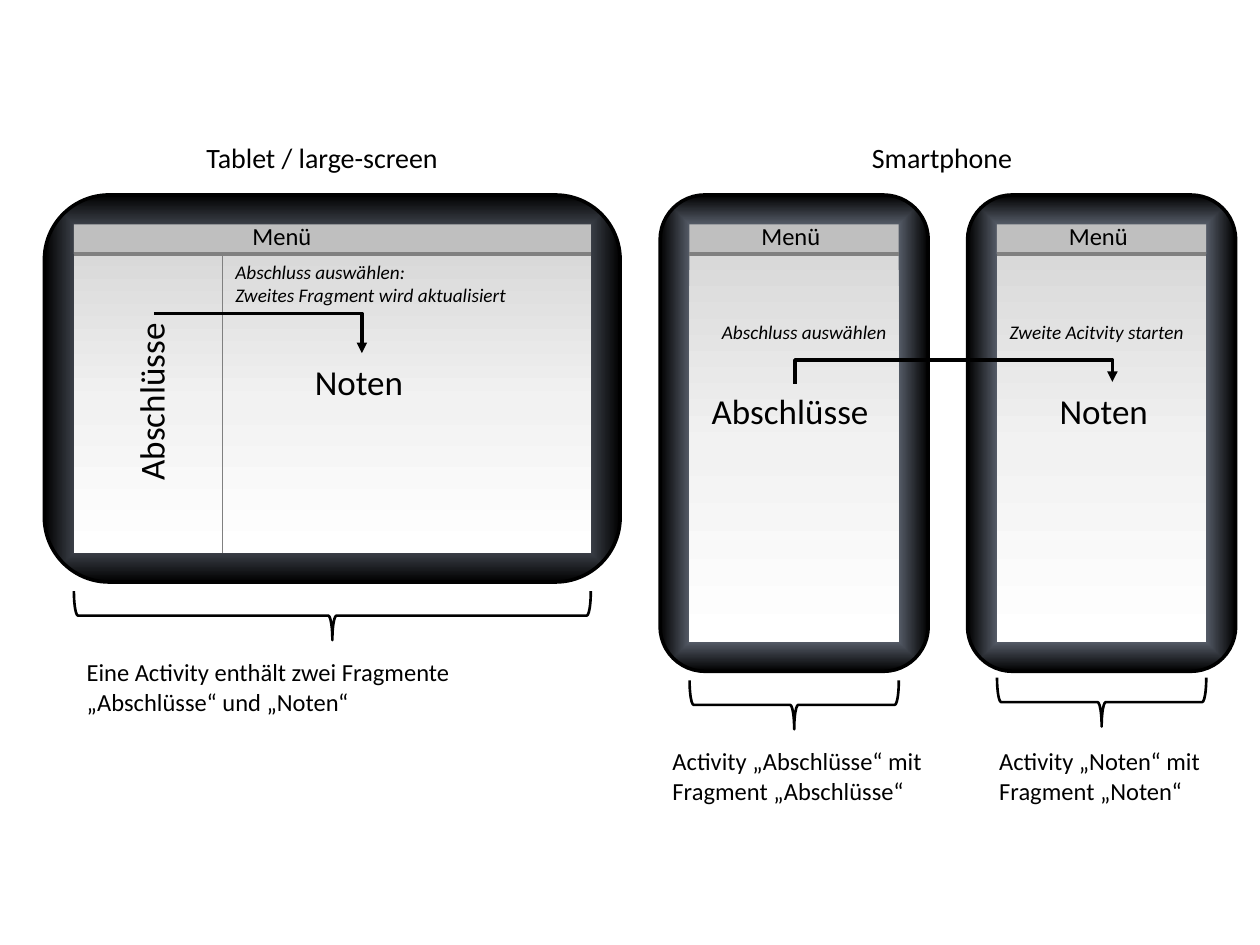
from lxml import etree
from pptx import Presentation
from pptx.dml.color import RGBColor
from pptx.enum.shapes import MSO_CONNECTOR, MSO_SHAPE
from pptx.oxml import parse_xml
from pptx.oxml.ns import nsdecls, qn
from pptx.util import Pt

RECT = MSO_SHAPE.RECTANGLE
ROUNDED = MSO_SHAPE.ROUNDED_RECTANGLE
BRACE = MSO_SHAPE.RIGHT_BRACE
STRAIGHT = MSO_CONNECTOR.STRAIGHT
ELBOW = MSO_CONNECTOR.ELBOW

FONT = "Calibri"
BLACK, GREY, MENU_GREY = "000000", "808080", "BFBFBF"
FRAME_STOPS = [(50, "C2D1ED"), (100, "000000")]
SCREEN_STOPS = [(0, "D9D9D9"), (50, "F2F2F2"), (100, "FFFFFF")]
FRAME_DIRECTION = ('<a:path path="shape"><a:fillToRect l="50000" t="50000" '
                   'r="50000" b="50000"/></a:path>')
SCREEN_DIRECTION = '<a:lin ang="5400000" scaled="0"/>'
BEZEL, MENU_HEIGHT, BRACE_DEPTH = 16.8, 17, 28


def color(hex_string):
    return RGBColor.from_string(hex_string)


def add_box(slide, kind, box, fill=None, line=None, line_width=1):
    shape = slide.shapes.add_shape(kind, *[Pt(v) for v in box])
    shape.shadow.inherit = False
    if fill:
        shape.fill.solid()
        shape.fill.fore_color.rgb = color(fill)
    else:
        shape.fill.background()
    if line:
        shape.line.color.rgb = color(line)
        shape.line.width = Pt(line_width)
    else:
        shape.line.fill.background()
    return shape


def set_gradient(shape, stops, direction):
    stop_xml = "".join(f'<a:gs pos="{pos * 1000}"><a:srgbClr val="{rgb}"/></a:gs>'
                       for pos, rgb in stops)
    gradient = parse_xml(f'<a:gradFill {nsdecls("a")} rotWithShape="1">'
                         f'<a:gsLst>{stop_xml}</a:gsLst>{direction}</a:gradFill>')
    properties = shape._element.spPr
    properties.replace(properties.find(qn("a:noFill")), gradient)


def add_text(slide, box, lines, size, italic=False, rotation=0):
    label = slide.shapes.add_textbox(*[Pt(v) for v in box])
    label.rotation = rotation
    frame = label.text_frame
    frame.word_wrap = True
    frame.text = "\n".join(lines)
    for paragraph in frame.paragraphs:
        font = paragraph.font
        font.name, font.size, font.italic = FONT, Pt(size), italic
        font.color.rgb = color(BLACK)


def add_line(slide, kind, ends, rgb, width, arrow=False):
    line = slide.shapes.add_connector(kind, *[Pt(v) for v in ends])
    line.line.color.rgb = color(rgb)
    line.line.width = Pt(width)
    properties = line._element.spPr
    if arrow:
        etree.SubElement(properties.find(qn("a:ln")), qn("a:tailEnd"), type="triangle")
    etree.SubElement(properties, qn("a:effectLst"))
    return line


def add_device(slide, box, menu_offset, brace_gap, divider=None):
    """Frame, screen with menu bar, and the brace below; divider splits the screen."""
    left, top, width, height = box
    x, y = left + BEZEL, top + BEZEL
    w, h = width - 2 * BEZEL, height - 2 * BEZEL
    body_y, body_h = y + MENU_HEIGHT, h - MENU_HEIGHT

    # Frame and screen
    frame = add_box(slide, ROUNDED, box, line=BLACK, line_width=2)
    set_gradient(frame, FRAME_STOPS, FRAME_DIRECTION)
    screen = add_box(slide, RECT, (x, body_y, w, body_h))
    set_gradient(screen, SCREEN_STOPS, SCREEN_DIRECTION)

    # Menu bar
    add_box(slide, RECT, (x, y, w, MENU_HEIGHT), MENU_GREY)
    add_text(slide, (x + menu_offset, y - 5.5, 52, 24.5), ["Menü"], 14)
    add_line(slide, STRAIGHT, (x, body_y, x + w, body_y), GREY, 2)
    if divider:
        add_line(slide, STRAIGHT, (x + divider, body_y, x + divider, y + h), GREY, 1)

    # Brace, turned to open upwards
    brace_top = top + height + brace_gap
    brace = add_box(slide, BRACE,
                    (x + (w - BRACE_DEPTH) / 2, brace_top + (BRACE_DEPTH - w) / 2,
                     BRACE_DEPTH, w), line=BLACK, line_width=1.5)
    brace.rotation = 90


def add_tablet(slide, box):
    left, top, width, height = box
    add_text(slide, (left + 85.5, top - 34.4, 156, 26.6), ["Tablet / large-screen"], 16)
    add_device(slide, box, 95, 5.2, divider=85)

    # Both fragments
    add_text(slide, (left + 7, top + 100.3, 108, 31.7), ["Abschlüsse"], 20, rotation=270)
    add_text(slide, (left + 147.4, top + 90.9, 72, 31.7), ["Noten"], 20)
    add_text(slide, (left + 102, top + 34, 178, 34),
             ["Abschluss auswählen:", "Zweites Fragment wird aktualisiert"], 11, italic=True)
    arrow = add_line(slide, ELBOW,
                     (left + 62.6, top + 67.8, left + 181.4, top + 90.4), BLACK, 2, arrow=True)
    arrow._element.spPr.find(qn("a:prstGeom")).set("prst", "bentConnector2")

    add_text(slide, (left + 17, top + height + 39.4, 232, 41),
             ["Eine Activity enthält zwei Fragmente", "„Abschlüsse“ und „Noten“"], 14)


def add_phone(slide, box, fragment, fragment_offset, action, action_offset,
              caption_offset, brace_gap):
    left, top, width, height = box
    add_device(slide, box, 34, brace_gap)
    add_text(slide, (left + fragment_offset, top + 107.6, 108, 31.7), [fragment], 20)
    add_text(slide, (left + action_offset, top + 68, 127.4, 20.6), [action], 11, italic=True)
    add_text(slide, (left + caption_offset, top + height + 39.4, 164, 41),
             [f"Activity „{fragment}“ mit", f"Fragment „{fragment}“"], 14)


def add_phone_pair(slide, box, pitch):
    left, top, width, height = box
    add_text(slide, (left + 114, top - 34.4, 102, 26.6), ["Smartphone"], 16)
    add_phone(slide, box, "Abschlüsse", 22.4, "Abschluss auswählen", 28.2, 0, 5.2)
    add_phone(slide, (left + pitch, top, width, height),
              "Noten", 45.5, "Zweite Acitvity starten", 17, 11, 3.6)

    # Arrow from the first phone up and over to the second
    span, rise = 181.4, 13.7
    center_x, center_y = left + 167.7, top + 107.4
    arrow = add_line(slide, ELBOW,
                     (center_x + 0.5, center_y + span / 2,
                      center_x - 0.5, center_y - span / 2), BLACK, 2, arrow=True)
    properties = arrow._element.spPr
    properties.find(qn("a:xfrm")).set("rot", "5400000")
    adjustments = properties.find(qn("a:prstGeom")).get_or_add_avLst()
    etree.SubElement(adjustments, qn("a:gd"), name="adj1", fmla=f"val {int(rise * 100000)}")


def main():
    deck = Presentation()
    deck.slide_width, deck.slide_height = Pt(720), Pt(540)
    slide = deck.slides.add_slide(deck.slide_layouts[6])
    add_tablet(slide, (25.4, 111.4, 329, 221.2))
    add_phone_pair(slide, (377.2, 111.4, 153.2, 272.2), 175.7)
    deck.save("out.pptx")


if __name__ == "__main__":
    main()
